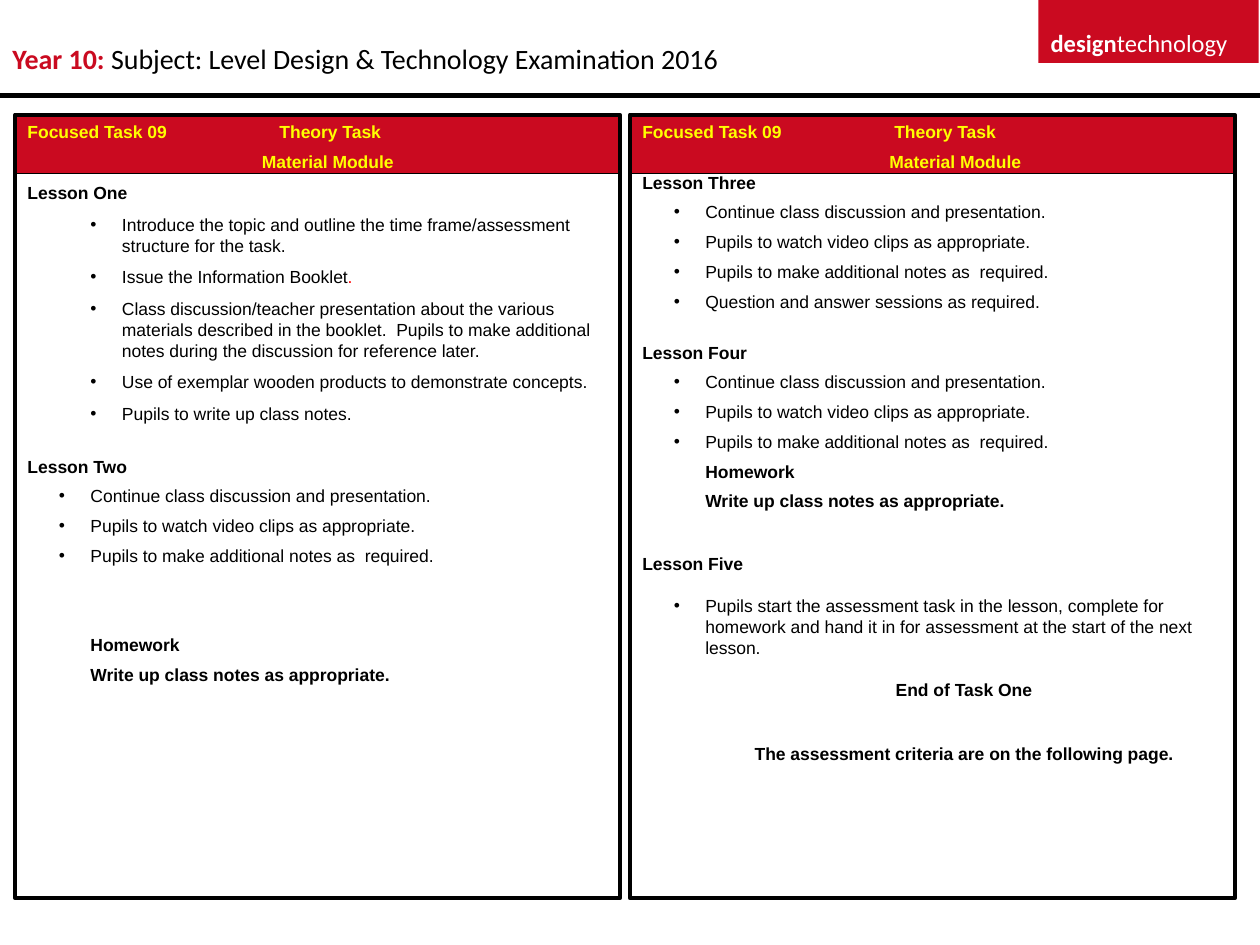
from lxml import etree
from pptx import Presentation
from pptx import util as u
from pptx.dml.color import RGBColor
from pptx.enum import shapes, text
from pptx.oxml.ns import qn

COLOURS = {"red": "CA0A20", "black": "000000", "white": "FFFFFF",
           "yellow": "FFFF00", "dot": "FF0000"}
BODY_SIZE, LINE, GAP = 10, 12, 5  # points


def colour(name):
    """Return the named colour."""
    return RGBColor.from_string(COLOURS[name])


def add_box(slide, box, fill=None, line_width=None):
    """Add a rectangle at box (left, top, width, height in inches)."""
    shape = slide.shapes.add_shape(shapes.MSO_SHAPE.RECTANGLE, *map(u.Inches, box))
    shape.shadow.inherit = False
    if fill:
        shape.fill.solid()
        shape.fill.fore_color.rgb = colour(fill)
    else:
        shape.fill.background()
    if line_width:
        shape.line.color.rgb = colour("black")
        shape.line.width = u.Pt(line_width)
    else:
        shape.line.fill.background()
    return shape


def add_run(paragraph, words, size, font, ink, bold=False):
    """Append one formatted run."""
    run = paragraph.add_run()
    run.text = words
    run.font.size, run.font.name, run.font.bold = u.Pt(size), font, bold
    run.font.color.rgb = colour(ink)


def add_label(slide, box, size, runs, wrap):
    """Add a one-line text box made of (words, ink, bold) runs."""
    frame = slide.shapes.add_textbox(*map(u.Inches, box)).text_frame
    frame.word_wrap = wrap
    for words, ink, bold in runs:
        add_run(frame.paragraphs[0], words, size, "Calibri", ink, bold)


def add_banner(slide, width):
    """Place the subject badge, the title and the rule across the top."""
    add_box(slide, (width - 1.76, 0, 1.75, 0.5), "red")
    add_label(slide, (width - 1.76, 0.17, 1.76, 0.33), 14,
              [("design", "white", True), ("technology", "white", False)], False)
    add_label(slide, (0, 0.28, 8.15, 0.37), 16,
              [("Year 10:", "red", True),
               (" Subject: Level Design & Technology Examination 2016", "black", False)], True)
    rule = slide.shapes.add_connector(shapes.MSO_CONNECTOR.STRAIGHT, 0, u.Inches(0.76),
                                      u.Inches(width), u.Inches(0.76))
    rule.line.color.rgb = colour("black")
    rule.line.width = u.Pt(3)
    etree.SubElement(rule._element.spPr, qn("a:effectLst"))


def set_indent(paragraph, margin, bullet):
    """Set the left margin in inches, with a hanging bullet if wanted."""
    properties = paragraph._p.get_or_add_pPr()
    properties.set("marL", str(u.Inches(margin)))
    properties.set("indent", str(u.Inches(-0.25 if bullet else 0)))
    if bullet:
        etree.SubElement(properties, qn("a:buFont"), typeface="Arial")
        etree.SubElement(properties, qn("a:buChar"), char="•")


def set_tab(paragraph, position):
    """Add a left tab stop in inches."""
    stops = etree.SubElement(paragraph._p.get_or_add_pPr(), qn("a:tabLst"))
    etree.SubElement(stops, qn("a:tab"), pos=str(u.Inches(position)), algn="l")


def add_panel(slide, box, module_tab, entries):
    """Place a framed lesson column with its red heading band."""
    left, top, width, height = box
    add_box(slide, (left, top, width, 0.47), "red", 0.75)
    frame = add_box(slide, box, line_width=2.25).text_frame
    frame.word_wrap = True
    frame.vertical_anchor = text.MSO_ANCHOR.TOP

    def next_paragraph(space, align=text.PP_ALIGN.LEFT):
        """Start a paragraph below the last one."""
        first = not frame.paragraphs[0].runs
        paragraph = frame.paragraphs[0] if first else frame.add_paragraph()
        paragraph.alignment = align
        paragraph.space_before = u.Pt(0 if first else space)
        return paragraph

    for words, tab in (("Focused Task 09\tTheory Task", 2), ("\tMaterial Module", module_tab)):
        paragraph = next_paragraph(GAP)
        set_tab(paragraph, tab)
        add_run(paragraph, words, BODY_SIZE, "Arial", "yellow", True)

    for kind, space, words in entries:
        align = text.PP_ALIGN.CENTER if kind == "centre" else text.PP_ALIGN.LEFT
        paragraph = next_paragraph(space, align)
        bullet = kind in ("bullet", "deep")
        set_indent(paragraph, {"head": 0, "deep": 0.75}.get(kind, 0.5), bullet)
        parts = [words] if isinstance(words, str) else words
        for part, ink in zip(parts, ("black", "dot")):
            add_run(paragraph, part, BODY_SIZE, "Arial", ink, not bullet)


def bullets(kind, space, items):
    """Turn a list of texts into entries of one kind."""
    return [(kind, space, item) for item in items]


DISCUSSION = bullets("bullet", GAP, [
    "Continue class discussion and presentation.",
    "Pupils to watch video clips as appropriate.",
    "Pupils to make additional notes as  required."])


def homework(space):
    """Return the homework entries, the first set off by space."""
    return [("note", space, "Homework"),
            ("note", GAP, "Write up class notes as appropriate.")]


FIRST_LESSONS = [
    ("head", 6, "Lesson One"),
    *bullets("deep", 6, [
        "Introduce the topic and outline the time frame/assessment structure for the task.",
        ("Issue the Information Booklet", "."),
        "Class discussion/teacher presentation about the various materials described in the "
        "booklet.  Pupils to make additional notes during the discussion for reference later.",
        "Use of exemplar wooden products to demonstrate concepts.",
        "Pupils to write up class notes."]),
    ("head", LINE + 6, "Lesson Two"),
    *DISCUSSION,
    *homework(2 * LINE + 3 * GAP),
]
LAST_LESSONS = [
    ("head", 0, "Lesson Three"),
    *DISCUSSION,
    ("bullet", GAP, "Question and answer sessions as required."),
    ("head", LINE + GAP, "Lesson Four"),
    *DISCUSSION,
    *homework(GAP),
    ("head", 2 * LINE, "Lesson Five"),
    ("bullet", LINE, "Pupils start the assessment task in the lesson, complete for homework "
                     "and hand it in for assessment at the start of the next lesson."),
    ("centre", LINE, "End of Task One"),
    ("centre", 2 * LINE, "The assessment criteria are on the following page."),
]


def main():
    """Build and save the slide."""
    presentation = Presentation()
    presentation.slide_width, presentation.slide_height = u.Inches(10), u.Inches(7.5)
    slide = presentation.slides.add_slide(presentation.slide_layouts[6])
    add_banner(slide, 10)
    add_panel(slide, (0.12, 0.91, 4.8, 6.22), 1.86, FIRST_LESSONS)
    add_panel(slide, (5, 0.91, 4.8, 6.22), 1.96, LAST_LESSONS)
    presentation.save("out.pptx")


main()
